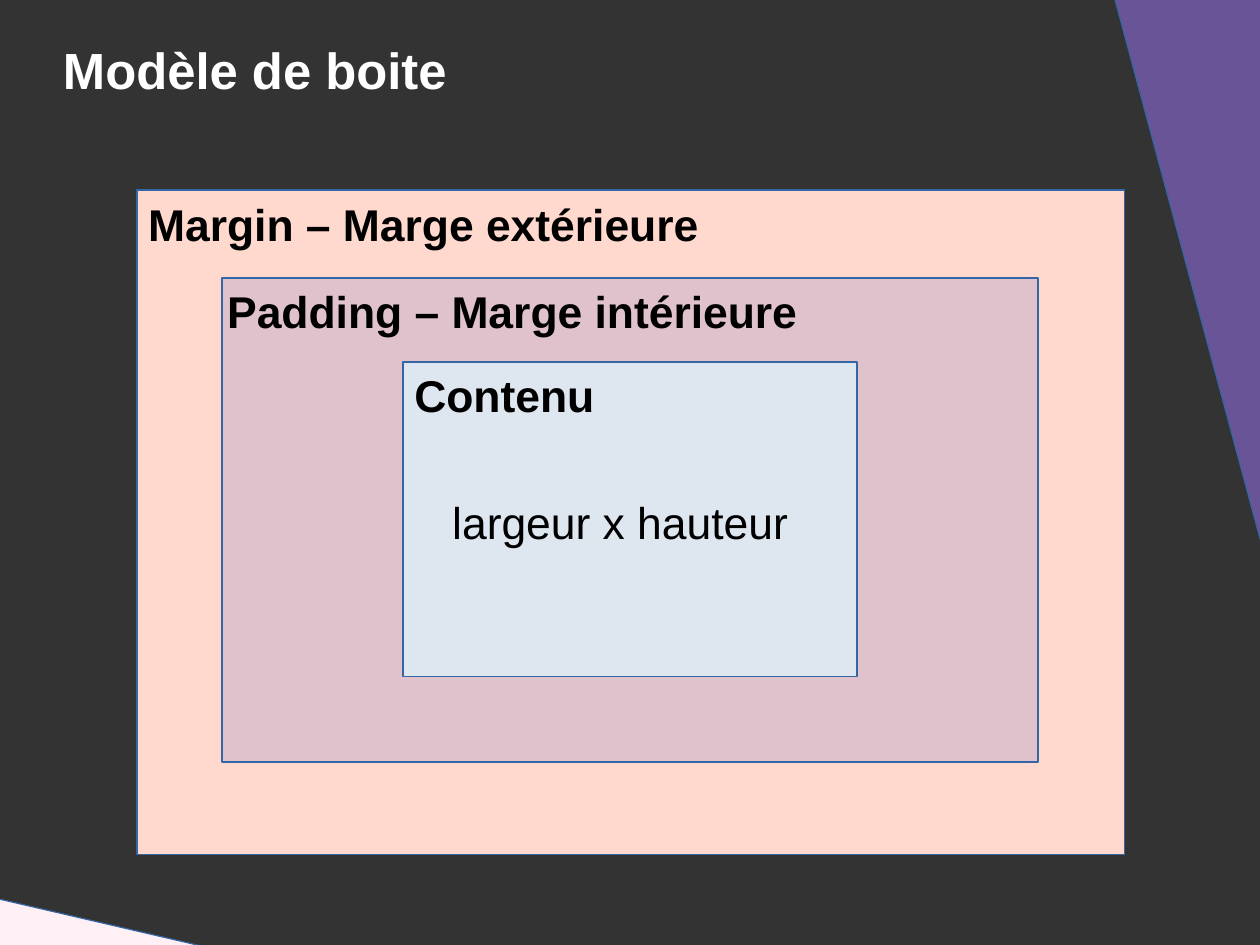
"""Build the slide that explains the CSS box model."""
import dataclasses

import pptx
import pptx.dml.color
import pptx.enum.shapes
import pptx.enum.text
import pptx.util

EMU_PER_PX = 8000
SLIDE_SIZE = (1260, 945)
TITLE_ONLY = 5


@dataclasses.dataclass(frozen=True)
class Theme:
    """Colours, font and type sizes of the slide."""
    background: str = "333333"
    outline: str = "3465A4"
    purple: str = "685496"
    blush: str = "FFF0F5"
    margin: str = "FFD8CE"
    padding: str = "E0C2CD"
    content: str = "DEE6EF"
    light_text: str = "FFFFFF"
    dark_text: str = "000000"
    font: str = "Arial"
    title_size: int = 32
    label_size: int = 28


def px(*lengths):
    """Turn px lengths into EMU."""
    return [pptx.util.Emu(length * EMU_PER_PX) for length in lengths]


def rgb(colour):
    """Return the colour object for a hex string."""
    return pptx.dml.color.RGBColor.from_string(colour)


def write_text(frame, text, *, font, size, colour, bold=False):
    """Write one left-aligned paragraph into a text frame."""
    frame.word_wrap = True
    paragraph = frame.paragraphs[0]
    paragraph.alignment = pptx.enum.text.PP_ALIGN.LEFT
    run = paragraph.add_run()
    run.text = text
    run.font.name = font
    run.font.size = pptx.util.Pt(size)
    run.font.color.rgb = rgb(colour)
    run.font.bold = bold


class SlideBuilder:
    """Draw styled elements on the current slide."""

    def __init__(self, slide, theme):
        """Keep the slide and theme and paint the background."""
        self.slide = slide
        self.theme = theme
        slide.background.fill.solid()
        slide.background.fill.fore_color.rgb = rgb(theme.background)

    def title(self, text, box):
        """Place and fill the title placeholder."""
        title = self.slide.shapes.title
        title.left, title.top, title.width, title.height = px(*box)
        frame = title.text_frame
        frame.margin_left = frame.margin_right = 0
        frame.margin_top = frame.margin_bottom = 0
        frame.vertical_anchor = pptx.enum.text.MSO_ANCHOR.MIDDLE
        write_text(frame, text, font=self.theme.font, size=self.theme.title_size,
                   colour=self.theme.light_text, bold=True)

    def panel(self, kind, box, fill, rotation=0):
        """Draw a filled preset shape with a hairline outline."""
        shape = self.slide.shapes.add_shape(kind, *px(*box))
        shape.shadow.inherit = False
        shape.rotation = rotation
        shape.fill.solid()
        shape.fill.fore_color.rgb = rgb(fill)
        shape.line.color.rgb = rgb(self.theme.outline)
        shape.line.width = pptx.util.Pt(0)

    def label(self, text, box, bold=True):
        """Add a text box with a label."""
        shape = self.slide.shapes.add_textbox(*px(*box))
        write_text(shape.text_frame, text, font=self.theme.font,
                   size=self.theme.label_size, colour=self.theme.dark_text, bold=bold)


def main():
    """Build the presentation and save it."""
    presentation = pptx.Presentation()
    presentation.slide_width, presentation.slide_height = px(*SLIDE_SIZE)
    slide = presentation.slides.add_slide(presentation.slide_layouts[TITLE_ONLY])
    theme = Theme()
    builder = SlideBuilder(slide, theme)

    shapes = pptx.enum.shapes.MSO_SHAPE
    builder.panel(shapes.RIGHT_TRIANGLE, (1093, -82, 176, 654), theme.purple, rotation=180)
    builder.panel(shapes.RIGHT_TRIANGLE, (-83, 880, 789, 183), theme.blush)

    builder.title("Modèle de boite", (63, 38, 1134, 62))

    nested_boxes = [
        ("Margin – Marge extérieure", (137, 190, 988, 665), theme.margin, (137, 191, 756, 61)),
        ("Padding – Marge intérieure", (222, 278, 816, 484), theme.padding, (216, 278, 756, 61)),
        ("Contenu", (403, 362, 454, 315), theme.content, (403, 362, 454, 67)),
    ]
    for text, box, fill, label_box in nested_boxes:
        builder.panel(shapes.RECTANGLE, box, fill)
        builder.label(text, label_box)
    builder.label("largeur x hauteur", (441, 489, 378, 61), bold=False)

    presentation.save("out.pptx")


if __name__ == "__main__":
    main()
